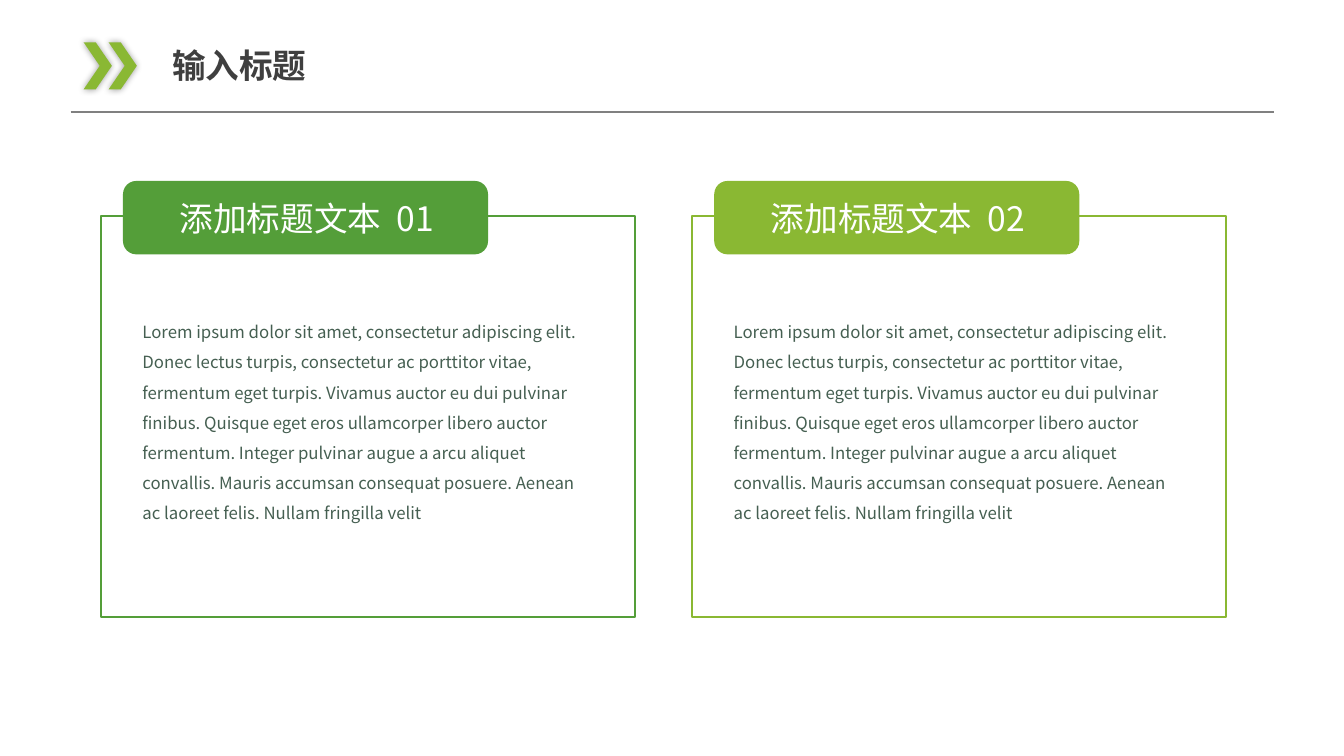
from lxml.etree import SubElement
from pptx import Presentation
from pptx.dml.color import RGBColor
from pptx.enum.shapes import MSO_CONNECTOR, MSO_SHAPE
from pptx.enum.text import MSO_AUTO_SIZE, PP_ALIGN
from pptx.oxml.ns import qn
from pptx.util import Cm, Pt

FONT = "Noto Sans CJK SC"
WHITE = RGBColor(0xFF, 0xFF, 0xFF)
GREEN = RGBColor(0x54, 0x9E, 0x39)
LIME = RGBColor(0x8A, 0xB8, 0x33)
GRAY = RGBColor(0x80, 0x80, 0x80)
DARK = RGBColor(0x3F, 0x3F, 0x3F)
SLATE = RGBColor(0x45, 0x5F, 0x51)

BODY = (
    "Lorem ipsum dolor sit amet, consectetur adipiscing elit. "
    "Donec lectus turpis, consectetur ac porttitor vitae, fermentum eget turpis. "
    "Vivamus auctor eu dui pulvinar finibus. "
    "Quisque eget eros ullamcorper libero auctor fermentum. "
    "Integer pulvinar augue a arcu aliquet convallis. "
    "Mauris accumsan consequat posuere. "
    "Aenean ac laoreet felis. Nullam fringilla velit"
)
CARDS = [("添加标题文本", "01", GREEN), ("添加标题文本", "02", LIME)]


def add_shape(slide, kind, x, y, w, h, fill):
    sp = slide.shapes.add_shape(kind, Cm(x), Cm(y), Cm(w), Cm(h))
    sp.shadow.inherit = False
    sp.fill.solid()
    sp.fill.fore_color.rgb = fill
    sp.line.fill.background()
    return sp


def add_text_box(slide, x, y, w, h, wrap=True):
    tf = slide.shapes.add_textbox(Cm(x), Cm(y), Cm(w), Cm(h)).text_frame
    tf.word_wrap = wrap
    tf.auto_size = MSO_AUTO_SIZE.SHAPE_TO_FIT_TEXT
    return tf.paragraphs[0]


def add_run(p, text, size, color, bold=False):
    r = p.add_run()
    r.text = text
    r.font.size = Pt(size)
    r.font.bold = bold
    r.font.color.rgb = color
    r.font.name = FONT
    SubElement(r.font._element, qn("a:ea"), typeface=FONT)
    return r


def add_glow_shadow(sp):
    effects = sp._element.spPr.find(qn("a:effectLst"))
    shadow = SubElement(effects, qn("a:outerShdw"), blurRad=str(Pt(5)), dist="0", dir="0")
    color = SubElement(shadow, qn("a:srgbClr"), val="000000")
    SubElement(color, qn("a:alpha"), val="40000")


def add_header(slide, x, y, w, h):
    rule = slide.shapes.add_connector(
        MSO_CONNECTOR.STRAIGHT, Cm(x), Cm(y + h), Cm(x + w), Cm(y + h))
    rule.line.color.rgb = GRAY
    rule.line.width = Pt(1)
    SubElement(rule._element.spPr, qn("a:effectLst"))
    for i in (1, 0):
        chevron = add_shape(slide, MSO_SHAPE.CHEVRON,
                            x + 0.33 + 0.63 * i, y + 0.07, 0.71, 1.18, LIME)
        chevron.adjustments[0] = 0.57
        add_glow_shadow(chevron)
    p = add_text_box(slide, x + 2.31, y, 5.56, 1.27)
    p.alignment = PP_ALIGN.JUSTIFY
    add_run(p, "输入标题", 24, DARK, bold=True)


def add_card(slide, x, y, w, h, title, number, color):
    frame = add_shape(slide, MSO_SHAPE.RECTANGLE, x, y, w, h, WHITE)
    fill_color = frame._element.spPr.find(qn("a:solidFill"))[0]
    SubElement(fill_color, qn("a:alpha"), val="90000")
    frame.line.color.rgb = color
    frame.line.width = Pt(1.5)

    tab = add_shape(slide, MSO_SHAPE.ROUNDED_RECTANGLE, x + 0.56, y - 0.89, 9.2, 1.85, color)
    tab.adjustments[0] = 0.18

    p = add_text_box(slide, x + 1.74, y - 0.58, 7.16, 1.27, wrap=False)
    add_run(p, title, 24, WHITE)
    gap = add_run(p, " ", 24, WHITE)
    gap.font._element.set("spc", "540")
    add_run(p, number, 24, WHITE)

    p = add_text_box(slide, x + 0.8, y + 2.28, w - 1.62, 5.56)
    p.line_spacing = 1.5
    add_run(p, BODY, 12, SLATE)


def main():
    prs = Presentation()
    prs.slide_width = Cm(33.87)
    prs.slide_height = Cm(19.05)
    slide = prs.slides.add_slide(prs.slide_layouts[6])
    for i, card in enumerate(CARDS):
        add_card(slide, 2.54 + 14.9 * i, 5.45, 13.46, 10.11, *card)
    add_header(slide, 1.78, 1, 30.33, 1.82)
    prs.save("out.pptx")


if __name__ == "__main__":
    main()
